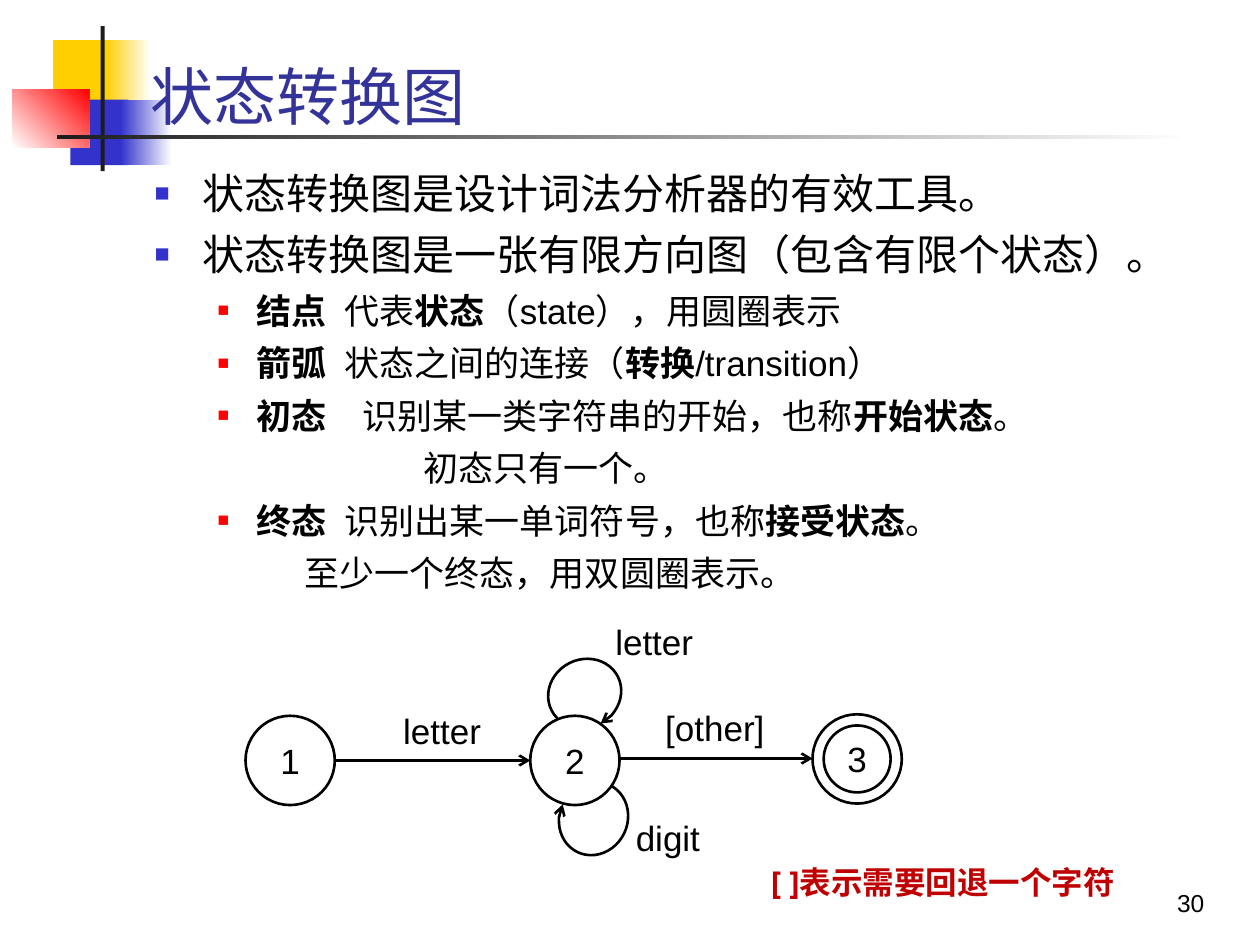
from pptx import Presentation
from pptx.util import Cm, Pt
from pptx.dml.color import RGBColor
from pptx.enum.shapes import MSO_SHAPE, MSO_CONNECTOR
from pptx.enum.text import PP_ALIGN, MSO_ANCHOR
from pptx.oxml.ns import qn
from lxml.etree import SubElement

CJK = "Noto Sans CJK SC"
BLACK, WHITE = "000000", "FFFFFF"
hue = RGBColor.from_string


def write(par, text, size=20, font="Arial", color=BLACK, bold=False,
          align=PP_ALIGN.LEFT):
    """Fill a paragraph; parts between asterisks switch weight."""
    par.alignment = align
    for i, part in enumerate(text.split("*")):
        if not part:
            continue
        run = par.add_run()
        run.text = part
        run.font.size = Pt(size)
        run.font.name = font
        run.font.bold = bold != (i % 2 == 1)
        run.font.color.rgb = hue(color)
        SubElement(run.font._element, qn("a:ea"), typeface=CJK)


def draw(kind, box, fill=None, line=None, fade=None, angle=0):
    """Add a preset shape with a plain or fading fill."""
    shape = slide.shapes.add_shape(kind, *map(Cm, box))
    shape.shadow.inherit = False
    if fade:
        shape.fill.gradient()
        shape.fill.gradient_angle = angle
        for stop, color in zip(shape.fill.gradient_stops, (fill, fade)):
            stop.color.rgb = hue(color)
    elif fill:
        shape.fill.solid()
        shape.fill.fore_color.rgb = hue(fill)
    else:
        shape.fill.background()
    if line:
        shape.line.color.rgb = hue(line)
        shape.line.width = Pt(1.5)
    else:
        shape.line.fill.background()
    return shape


deck = Presentation()
deck.slide_width, deck.slide_height = Cm(25.4), Cm(19.05)
slide = deck.slides.add_slide(deck.slide_layouts[5])

# Corner ornament and rule
for box, fill, fade, angle in [
    ((1.07, 0.81, 1.22, 1.32), "FFCF01", None, 0),
    ((2.13, 0.81, 0.91, 1.32), "FFCF01", WHITE, 0),
    ((1.42, 2.01, 1.17, 1.32), "3333CC", None, 0),
    ((2.44, 2.01, 1.02, 1.32), "3333CC", WHITE, 0),
    ((0.25, 1.8, 1.55, 1.17), WHITE, "FF0000", 45),
    ((2.03, 0.53, 0.08, 2.92), "1C1C1C", None, 0),
    ((1.14, 2.72, 22.86, 0.08), "1C1C1C", WHITE, 0),
]:
    draw(MSO_SHAPE.RECTANGLE, box, fill, fade=fade, angle=angle)

# Title, brought in front of the ornament
title = slide.shapes.title
title.left, title.top, title.width, title.height = map(
    Cm, (2.77, 0.69, 21.64, 2.13))
title.text_frame.vertical_anchor = MSO_ANCHOR.BOTTOM
write(title.text_frame.paragraphs[0], "状态转换图", size=36, font=CJK,
      color="333399")
slide.shapes._spTree.append(title._element)

# Body: level, left indent in cm, bullet shown, text
body = slide.shapes.add_textbox(*map(Cm, (2.87, 3.25, 21.59, 13.94)))
frame = body.text_frame
frame.word_wrap = True
for i, (level, left, mark, text) in enumerate([
    (0, 0.97, True, "状态转换图是设计词法分析器的有效工具。"),
    (0, 0.97, True, "状态转换图是一张有限方向图（包含有限个状态）。"),
    (1, 2.06, True, "*结点*\u2002代表*状态*（state），用圆圈表示"),
    (1, 2.06, True, "*箭弧*\u2002状态之间的连接（*转换*/transition）"),
    (1, 2.06, True, "*初态*\u3000识别某一类字符串的开始，也称*开始状态*。"),
    (1, 5.41, False, "初态只有一个。"),
    (1, 2.06, True, "*终态*\u2002识别出某一单词符号，也称*接受状态*。"),
    (1, 3.02, False, "至少一个终态，用双圆圈表示。"),
]):
    par = frame.paragraphs[0] if i == 0 else frame.add_paragraph()
    size, color, scale, hang = [
        (24, "3333CC", 60, 0.97), (20, "FF0000", 55, 0.79)][level]
    par.level = level
    par.space_before = Pt(6)
    par.line_spacing = Pt(size * 1.2)
    write(par, text, size=size)
    props = par._p.get_or_add_pPr()
    props.set("marL", str(Cm(left)))
    props.set("indent", str(-Cm(hang) if mark else 0))
    if mark:
        tint = SubElement(props, qn("a:buClr"))
        SubElement(tint, qn("a:srgbClr"), val=color)
        SubElement(props, qn("a:buSzPct"), val=str(scale * 1000))
        SubElement(props, qn("a:buFont"), typeface="Arial")
        SubElement(props, qn("a:buChar"), char="■")
    else:
        SubElement(props, qn("a:buNone"))

# Edge labels
for text, box, align in [
    ("letter", (12.29, 12.5, 1.8, 0.66), PP_ALIGN.CENTER),
    ("letter", (8.1, 14.3, 1.63, 0.76), PP_ALIGN.CENTER),
    ("digit", (12.5, 16.46, 1.93, 0.79), PP_ALIGN.CENTER),
    ("[other]", (13.41, 14.25, 2.06, 0.81), PP_ALIGN.JUSTIFY),
]:
    label = draw(MSO_SHAPE.RECTANGLE, box, WHITE, WHITE)
    frame = label.text_frame
    frame.margin_left = frame.margin_right = 0
    frame.margin_top = frame.margin_bottom = 0
    frame.vertical_anchor = MSO_ANCHOR.TOP
    write(frame.paragraphs[0], text, align=align)

# Loops on state 2
edges = []
for left, top, turn in [(11.1, 13.23, 62.9), (11.28, 15.75, 205.6)]:
    loop = draw(MSO_SHAPE.ARC, (left, top, 1.37, 1.5), line=BLACK)
    loop.rotation = turn
    for i, angle in enumerate((75, 359)):
        loop.adjustments[i] = angle * 0.6
    edges.append(loop)

# States
for text, kind, left, top in [
    ("1", MSO_SHAPE.OVAL, 4.95, 14.43),
    ("2", MSO_SHAPE.OVAL, 10.69, 14.43),
    ("3", MSO_SHAPE.DONUT, 16.38, 14.4),
]:
    state = draw(kind, (left, top, 1.8, 1.8), WHITE, BLACK)
    if kind == MSO_SHAPE.DONUT:
        state.adjustments[0] = 0.125
    state.text_frame.vertical_anchor = MSO_ANCHOR.MIDDLE
    write(state.text_frame.paragraphs[0], text, align=PP_ALIGN.CENTER)

# Straight edges
for start, end, y in [(6.75, 10.69, 15.33), (12.49, 16.38, 15.29)]:
    edge = slide.shapes.add_connector(
        MSO_CONNECTOR.STRAIGHT, Cm(start), Cm(y), Cm(end), Cm(y))
    edge.line.color.rgb = hue(BLACK)
    edge.line.width = Pt(1.5)
    SubElement(edge._element.spPr, qn("a:effectLst"))
    edges.append(edge)
for edge in edges:
    SubElement(edge.line._get_or_add_ln(), qn("a:tailEnd"), type="arrow")

# Remark and page number
note = slide.shapes.add_textbox(*map(Cm, (15.29, 17.27, 7.75, 1.02)))
note.text_frame.word_wrap = False
write(note.text_frame.paragraphs[0], "[ ]表示需要回退一个字符", size=18,
      font="Noto Sans", color="C00000", bold=True)
page = slide.shapes.add_textbox(*map(Cm, (19.25, 17.35, 5.28, 1.27)))
page.text_frame.word_wrap = True
page.text_frame.vertical_anchor = MSO_ANCHOR.BOTTOM
write(page.text_frame.paragraphs[0], "30", size=14, align=PP_ALIGN.RIGHT)

deck.save("out.pptx")
